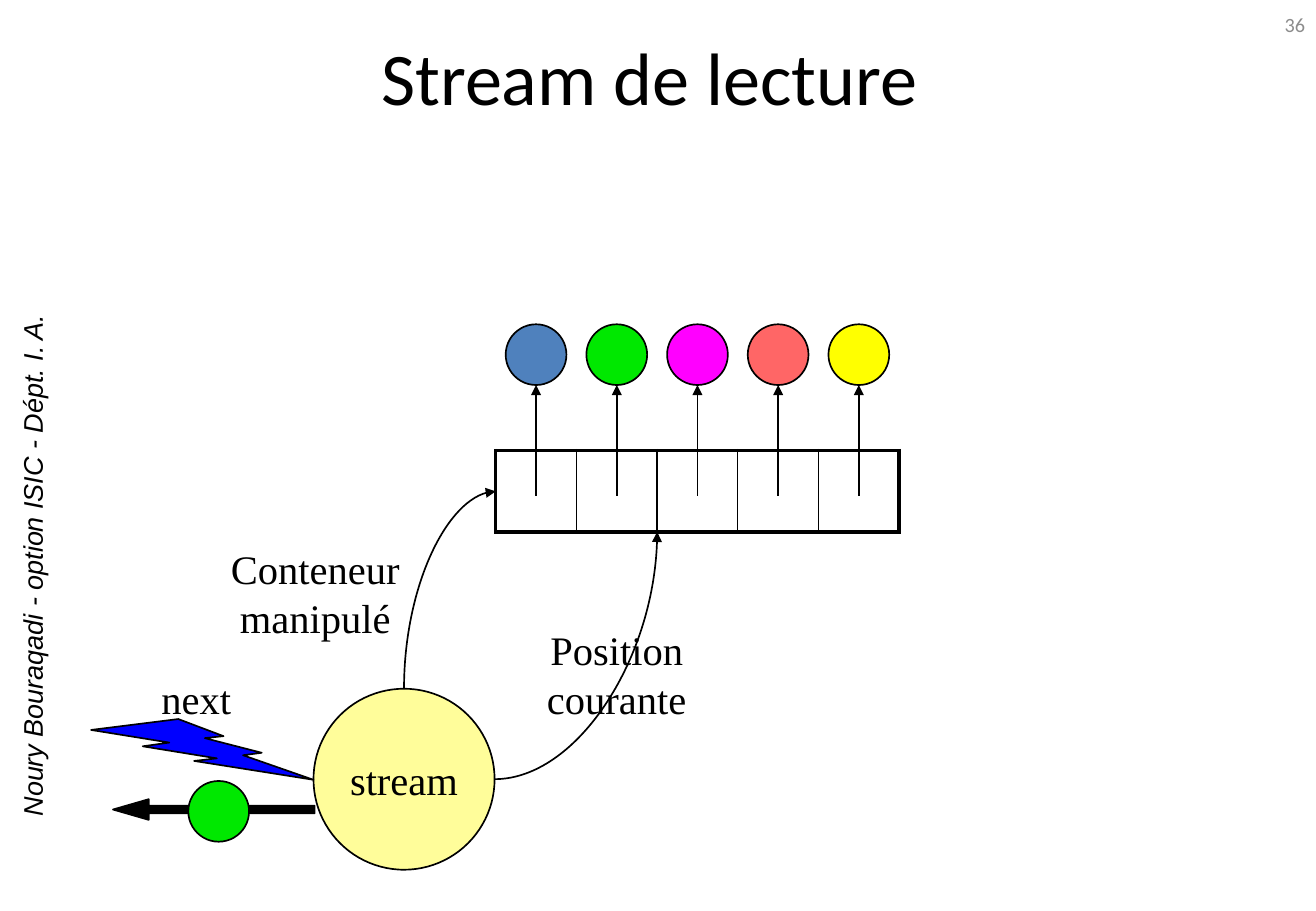
from lxml import etree
from pptx import Presentation
from pptx.dml.color import RGBColor
from pptx.enum.shapes import MSO_CONNECTOR, MSO_SHAPE
from pptx.enum.text import MSO_ANCHOR, PP_ALIGN
from pptx.oxml.ns import qn
from pptx.util import Inches, Pt

STRAIGHT, CURVE = MSO_CONNECTOR.STRAIGHT, MSO_CONNECTOR.CURVE
OVAL, BOLT, LEFT_ARROW = MSO_SHAPE.OVAL, MSO_SHAPE.LIGHTNING_BOLT, MSO_SHAPE.LEFT_ARROW
LEFT, CENTER, RIGHT = PP_ALIGN.LEFT, PP_ALIGN.CENTER, PP_ALIGN.RIGHT
TOP, MIDDLE = MSO_ANCHOR.TOP, MSO_ANCHOR.MIDDLE
BLACK, GREEN = "000000", "00E800"
ITEM_COLORS = ["4F81BD", GREEN, "FF00FF", "FF6666", "FFFF00"]
BALL = 0.5


def rgb(color):
    return RGBColor.from_string(color)


def write(sp, text, size=24, font="Times New Roman", color=BLACK, align=CENTER,
          anchor=TOP, wrap=False, italic=False):
    tf = sp.text_frame
    tf.word_wrap = wrap
    tf.vertical_anchor = anchor
    for i, line in enumerate(text.split("\n")):
        p = tf.add_paragraph() if i else tf.paragraphs[0]
        p.alignment = align
        r = p.add_run()
        r.text = line
        r.font.size = Pt(size)
        r.font.name = font
        r.font.italic = italic
        r.font.color.rgb = rgb(color)


def add_text(s, box, text, rotation=0, **fmt):
    sp = s.shapes.add_textbox(*map(Inches, box))
    sp.rotation = rotation
    write(sp, text, **fmt)


def add_filled(s, kind, box, color):
    sp = s.shapes.add_shape(kind, *map(Inches, box))
    sp.shadow.inherit = False
    sp.fill.solid()
    sp.fill.fore_color.rgb = rgb(color)
    sp.line.color.rgb = rgb(BLACK)
    sp.line.width = Pt(1)
    return sp


def add_arrow(s, kind, start, end):
    sp = s.shapes.add_connector(kind, *map(Inches, start + end))
    sp.line.color.rgb = rgb(BLACK)
    sp.line.width = Pt(1)
    etree.SubElement(sp.line._get_or_add_ln(), qn("a:tailEnd"), type="triangle")
    etree.SubElement(sp._element.spPr, qn("a:effectLst"))
    return sp


def add_quarter_curve(s, start, end, upward=False):
    if upward:
        cx, cy = (start[0] + end[0]) / 2, (start[1] + end[1]) / 2
        half_w, half_h = abs(end[1] - start[1]) / 2, abs(end[0] - start[0]) / 2
        start, end = (cx - half_w, cy - half_h), (cx + half_w, cy + half_h)
    sp = add_arrow(s, CURVE, start, end)
    spPr = sp._element.spPr
    spPr.find(qn("a:prstGeom")).set("prst", "curvedConnector2")
    if upward:
        spPr.find(qn("a:xfrm")).set("rot", str(270 * 60000))


def set_borders(cell, widths):
    tcPr = cell._tc.get_or_add_tcPr()
    for i, (side, width) in enumerate(zip("LRTB", widths)):
        ln = etree.Element(qn("a:ln" + side), w=str(Pt(width)))
        fill = etree.SubElement(ln, qn("a:solidFill"))
        etree.SubElement(fill, qn("a:srgbClr"), val=BLACK)
        tcPr.insert(i, ln)


def draw_container(s, x, y, w, h):
    count = len(ITEM_COLORS)
    table = s.shapes.add_table(1, count, *map(Inches, (x, y, w, h))).table
    table.first_row = table.horz_banding = False
    cell_w = w / count
    for i, color in enumerate(ITEM_COLORS):
        table.columns[i].width = Inches(cell_w)
        cell = table.cell(0, i)
        cell.fill.background()
        left = 2.25 if i == 0 else 1
        right = 2.25 if i == count - 1 else 1
        set_borders(cell, (left, right, 2.25, 2.25))
        cx, ball_y = x + (i + 0.5) * cell_w, y - 1.04
        add_filled(s, OVAL, (cx - BALL / 2, ball_y, BALL, BALL), color)
        add_arrow(s, STRAIGHT, (cx, y + 0.37), (cx, ball_y + BALL))


def draw_stream(s, x, y, d, container):
    cx, cy, right = x + d / 2, y + d / 2, x + d
    bx, by, bw, bh = container
    sp = add_filled(s, OVAL, (x, y, d, d), "FFFD9A")
    write(sp, "stream", anchor=MIDDLE)
    add_quarter_curve(s, (cx, y), (bx, by + bh / 2), upward=True)
    add_quarter_curve(s, (right, cy), (bx + bw * 2 / 5, by + bh))
    add_text(s, (x - 0.78, y - 1.24, 1.59, 0.9), "Conteneur\nmanipulé")
    add_text(s, (right + 0.33, y - 0.57, 1.35, 0.9), "Position\ncourante")


def draw_next_call(s, x, y, w):
    add_text(s, (x + 0.48, y, 0.78, 0.5), "next", align=LEFT)
    add_filled(s, BOLT, (x, y + 0.42, w, 0.5), "0000FF")
    arrow = add_filled(s, LEFT_ARROW, (x + 0.18, y + 1.08, w - 0.17, 0.17), BLACK)
    arrow.adjustments[0] = 0.375
    arrow.adjustments[1] = 1.73
    add_filled(s, OVAL, (x + 0.8, y + 0.93, BALL, BALL), GREEN)


def draw_frame(s, w):
    add_text(s, (-1.91, 4.47, 4.35, 0.37), "Noury Bouraqadi - option ISIC - Dépt. I. A.",
             rotation=270, size=16, font="Arial", italic=True, anchor=MIDDLE)
    add_text(s, (0, 0, w, 1.25), "Stream de lecture ", size=44, font="Calibri",
             anchor=MIDDLE, wrap=True)
    add_text(s, (w - 2.52, 0, 2.53, 0.4), "36", size=12, font="Calibri",
             color="8C8C8C", align=RIGHT, anchor=MIDDLE, wrap=True)


def main():
    prs = Presentation()
    prs.slide_width, prs.slide_height = Inches(10.83), Inches(7.5)
    s = prs.slides.add_slide(prs.slide_layouts[6])
    container = (4.08, 3.71, 3.32, 0.67)
    draw_frame(s, 10.83)
    draw_container(s, *container)
    draw_stream(s, 2.58, 5.67, 1.49, container)
    draw_next_call(s, 0.75, 5.5, 1.83)
    prs.save("out.pptx")


if __name__ == "__main__":
    main()
